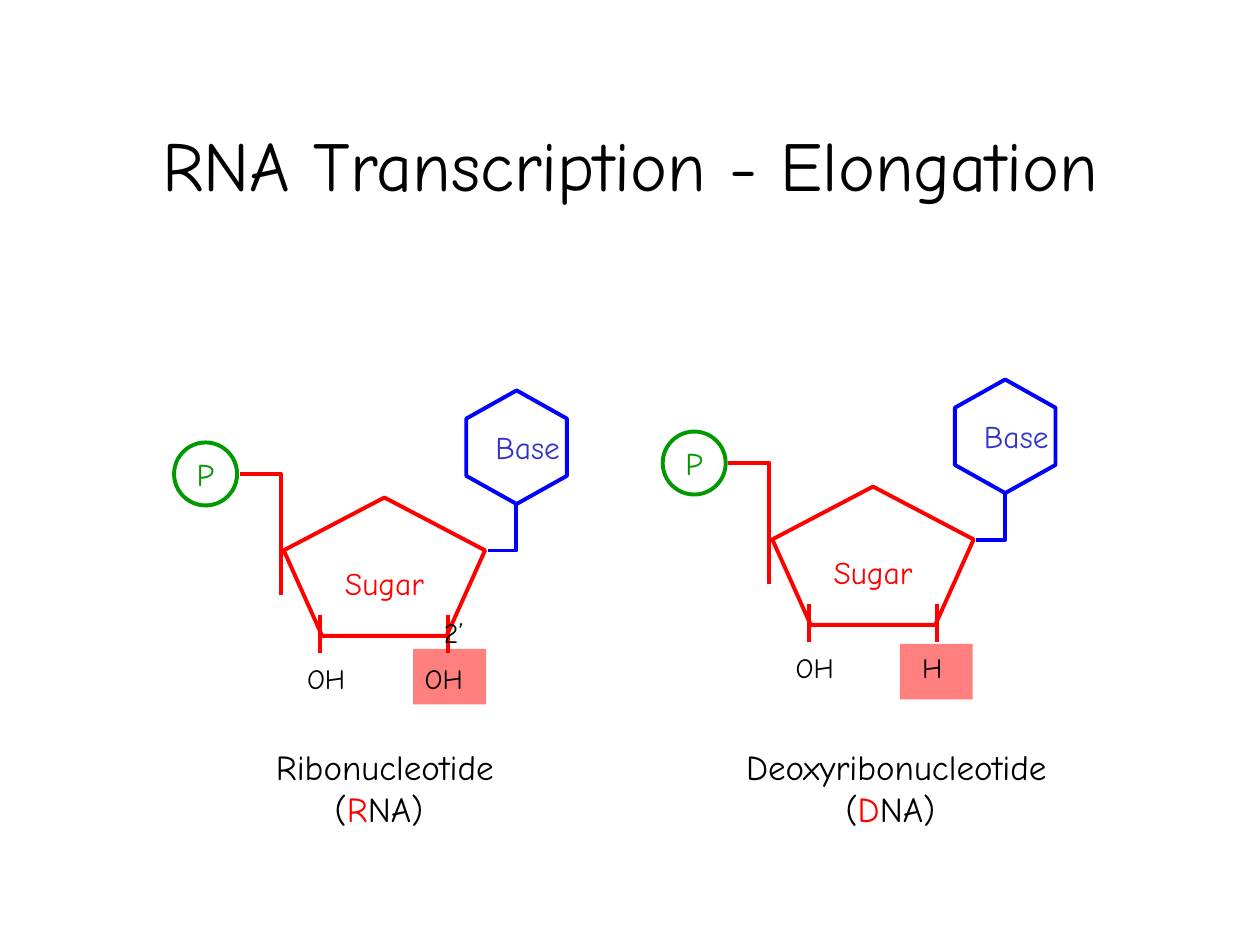
from dataclasses import dataclass

from lxml.etree import SubElement
from pptx import Presentation
from pptx.dml.color import RGBColor
from pptx.enum.shapes import MSO_CONNECTOR as Link, MSO_SHAPE as Preset
from pptx.enum.text import MSO_ANCHOR as Anchor, MSO_AUTO_SIZE as AutoSize, PP_ALIGN as Align
from pptx.oxml.ns import qn
from pptx.util import Cm, Pt

BLACK, WHITE, RED, BLUE, GREEN, INDIGO = "000000", "FFFFFF", "FF0000", "0000FF", "009900", "3333CC"
FONT = "Comic Neue"
FRAME = {
    "word_wrap": False,
    "auto_size": AutoSize.NONE,
    "vertical_anchor": Anchor.MIDDLE,
    "margin_left": Cm(0.25),
    "margin_right": Cm(0.25),
    "margin_top": Cm(0.13),
    "margin_bottom": Cm(0.13),
}
UPRIGHT_FRAME = FRAME | {
    "margin_left": Cm(0.13),
    "margin_right": Cm(0.13),
    "margin_top": Cm(0.25),
    "margin_bottom": Cm(0.25),
}


@dataclass(frozen=True)
class Box:
    left: float
    top: float
    width: float
    height: float

    def shifted(self, dx: float, dy: float) -> "Box":
        return Box(self.left + dx, self.top + dy, self.width, self.height)

    def lengths(self) -> list:
        return [Cm(v) for v in (self.left, self.top, self.width, self.height)]


@dataclass(frozen=True)
class Part:
    preset: Preset
    box: Box
    label: str
    outline: str
    text_color: str


@dataclass(frozen=True)
class Bond:
    start: tuple[float, float]
    end: tuple[float, float]
    color: str
    bent: bool = False


@dataclass(frozen=True)
class Nucleotide:
    dx: float
    dy: float
    two_prime_group: str
    highlight: Box
    name: str
    initial: str
    caption: Box


PARTS = [
    Part(Preset.REGULAR_PENTAGON, Box(5.72, 10.03, 4.06, 2.79), "Sugar", RED, RED),
    Part(Preset.HEXAGON, Box(9.27, 8, 2.29, 2.03), "Base", BLUE, INDIGO),
    Part(Preset.OVAL, Box(3.51, 8.92, 1.27, 1.27), "P", GREEN, GREEN),
]
BONDS = [
    Bond((9.83, 11.1), (10.41, 10.19), BLUE, bent=True),
    Bond((4.83, 9.55), (5.66, 11.99), RED, bent=True),
    Bond((6.45, 12.4), (6.45, 13.16), RED),
    Bond((9.04, 12.4), (9.04, 13.16), RED),
]
THREE_PRIME = Box(5.99, 13.13, 1.17, 1.09)
TWO_PRIME = Box(8.36, 13.13, 1.17, 1.09)
NUCLEOTIDES = [
    Nucleotide(0, 0, "OH", Box(8.33, 13.08, 1.47, 1.12),
               "Ribonucleotide", "R", Box(3.63, 14.68, 8.26, 2.39)),
    Nucleotide(9.85, -0.22, "H", Box(18.14, 12.98, 1.47, 1.12),
               "Deoxyribonucleotide", "D", Box(13.94, 14.68, 8.26, 2.39)),
]


def rgb(color: str) -> RGBColor:
    return RGBColor.from_string(color)


def apply(target, values: dict) -> None:
    for key, value in values.items():
        setattr(target, key, value)


def add_run(paragraph, text: str, size: float, color: str) -> None:
    run = paragraph.add_run()
    run.text = text
    apply(run.font, {"name": FONT, "size": Pt(size)})
    run.font.color.rgb = rgb(color)


def write(shape, text: str, size: float, color: str, frame: dict = FRAME) -> None:
    apply(shape.text_frame, frame)
    paragraph = shape.text_frame.paragraphs[0]
    paragraph.alignment = Align.CENTER
    add_run(paragraph, text, size, color)


def add_label(shapes, box: Box, text: str) -> None:
    write(shapes.add_textbox(*box.lengths()), text, 16, BLACK)


def add_filled_box(shapes, box: Box, color: str):
    shape = shapes.add_shape(Preset.RECTANGLE, *box.lengths())
    shape.shadow.inherit = False
    shape.fill.solid()
    shape.fill.fore_color.rgb = rgb(color)
    shape.line.fill.background()
    return shape


def add_highlight(shapes, box: Box) -> None:
    shape = add_filled_box(shapes, box, RED)
    fill_color = shape._element.spPr.find(f"{qn('a:solidFill')}/{qn('a:srgbClr')}")
    SubElement(fill_color, qn("a:alpha")).set("val", "50000")


def add_part(shapes, part: Part, dx: float, dy: float) -> None:
    shape = shapes.add_shape(part.preset, *part.box.shifted(dx, dy).lengths())
    shape.shadow.inherit = False
    shape.fill.background()
    shape.line.color.rgb = rgb(part.outline)
    shape.line.width = Pt(2.25)
    upright = part.preset == Preset.HEXAGON
    write(shape, part.label, 18, part.text_color, UPRIGHT_FRAME if upright else FRAME)
    if upright:
        shape.adjustments[0] = 0.28
        shape.rotation = 270
        shape.text_frame._txBody.bodyPr.set("vert", "eaVert")


def add_bond(shapes, bond: Bond, dx: float, dy: float) -> None:
    ends = [Cm(v) for x, y in (bond.start, bond.end) for v in (x + dx, y + dy)]
    line = shapes.add_connector(Link.ELBOW if bond.bent else Link.STRAIGHT, *ends)
    line.line.color.rgb = rgb(bond.color)
    line.line.width = Pt(2.25)
    properties = line._element.spPr
    SubElement(properties, qn("a:effectLst"))
    if bond.bent:
        properties.find(qn("a:prstGeom")).set("prst", "bentConnector2")


def add_molecule(shapes, nucleotide: Nucleotide) -> None:
    offset = nucleotide.dx, nucleotide.dy
    molecule = shapes.add_group_shape().shapes
    for part in PARTS:
        add_part(molecule, part, *offset)
    for bond in BONDS:
        add_bond(molecule, bond, *offset)
    add_label(molecule, THREE_PRIME.shifted(*offset), "OH")
    add_label(molecule, TWO_PRIME.shifted(*offset), nucleotide.two_prime_group)


def add_caption(shapes, nucleotide: Nucleotide) -> None:
    caption = add_filled_box(shapes, nucleotide.caption, WHITE)
    write(caption, nucleotide.name, 20, BLACK)
    paragraph = caption.text_frame.paragraphs[0]
    paragraph.add_line_break()
    for text, color in (("(", BLACK), (nucleotide.initial, RED), ("NA) ", BLACK)):
        add_run(paragraph, text, 20, color)


def main() -> None:
    deck = Presentation()
    apply(deck, {"slide_width": Cm(25.4), "slide_height": Cm(19.05)})
    slide = deck.slides.add_slide(deck.slide_layouts[5])
    shapes = slide.shapes
    title = shapes.title
    apply(title, dict(zip(("left", "top", "width", "height"), Box(1.91, 1.7, 21.59, 3.18).lengths())))
    write(title, "RNA Transcription - Elongation", 40, BLACK, FRAME | {"word_wrap": True})
    for nucleotide in NUCLEOTIDES:
        add_highlight(shapes, nucleotide.highlight)
        add_molecule(shapes, nucleotide)
        add_caption(shapes, nucleotide)
    add_label(shapes, Box(8.64, 12.42, 1.02, 0.66), "2’")
    deck.save("out.pptx")


if __name__ == "__main__":
    main()
